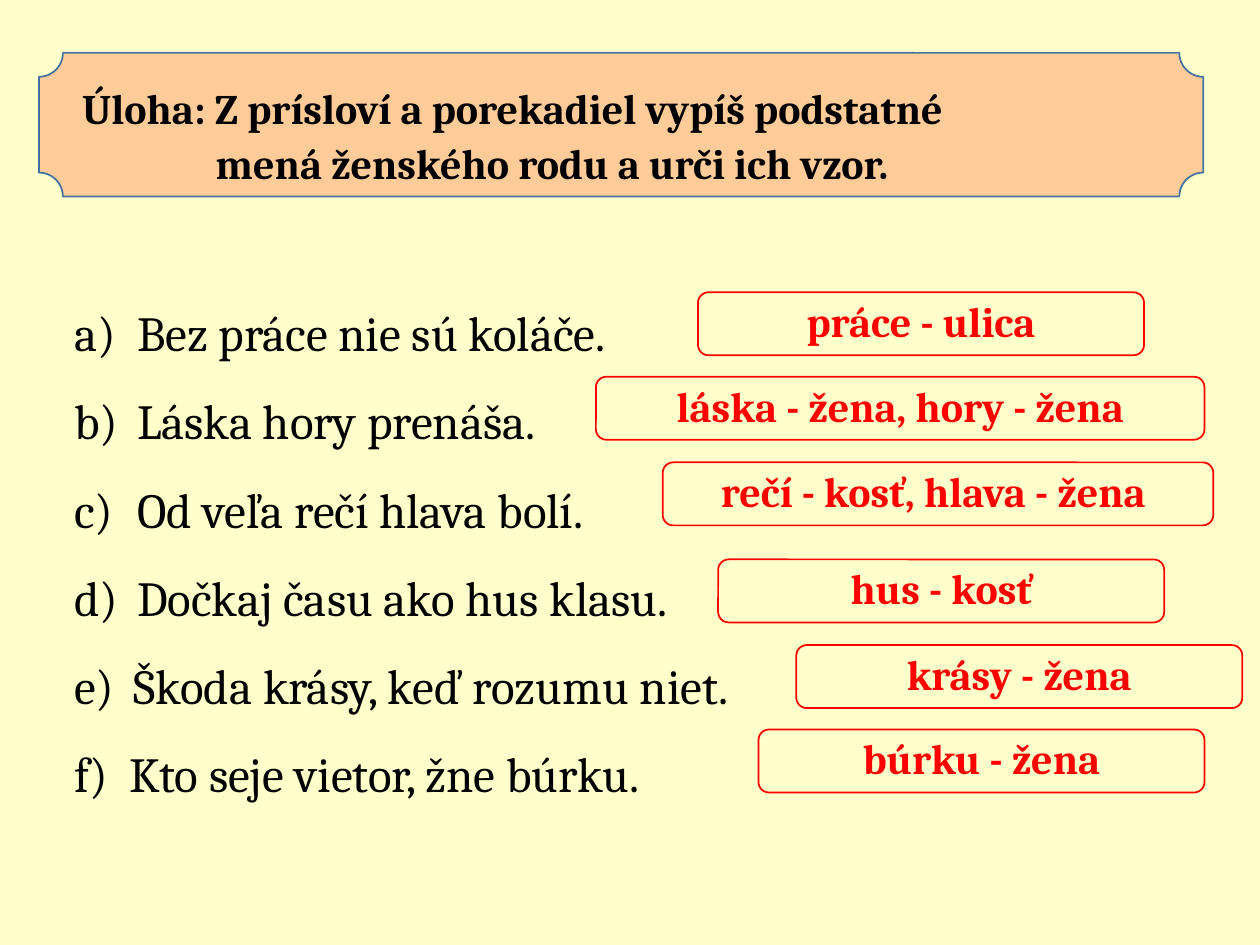
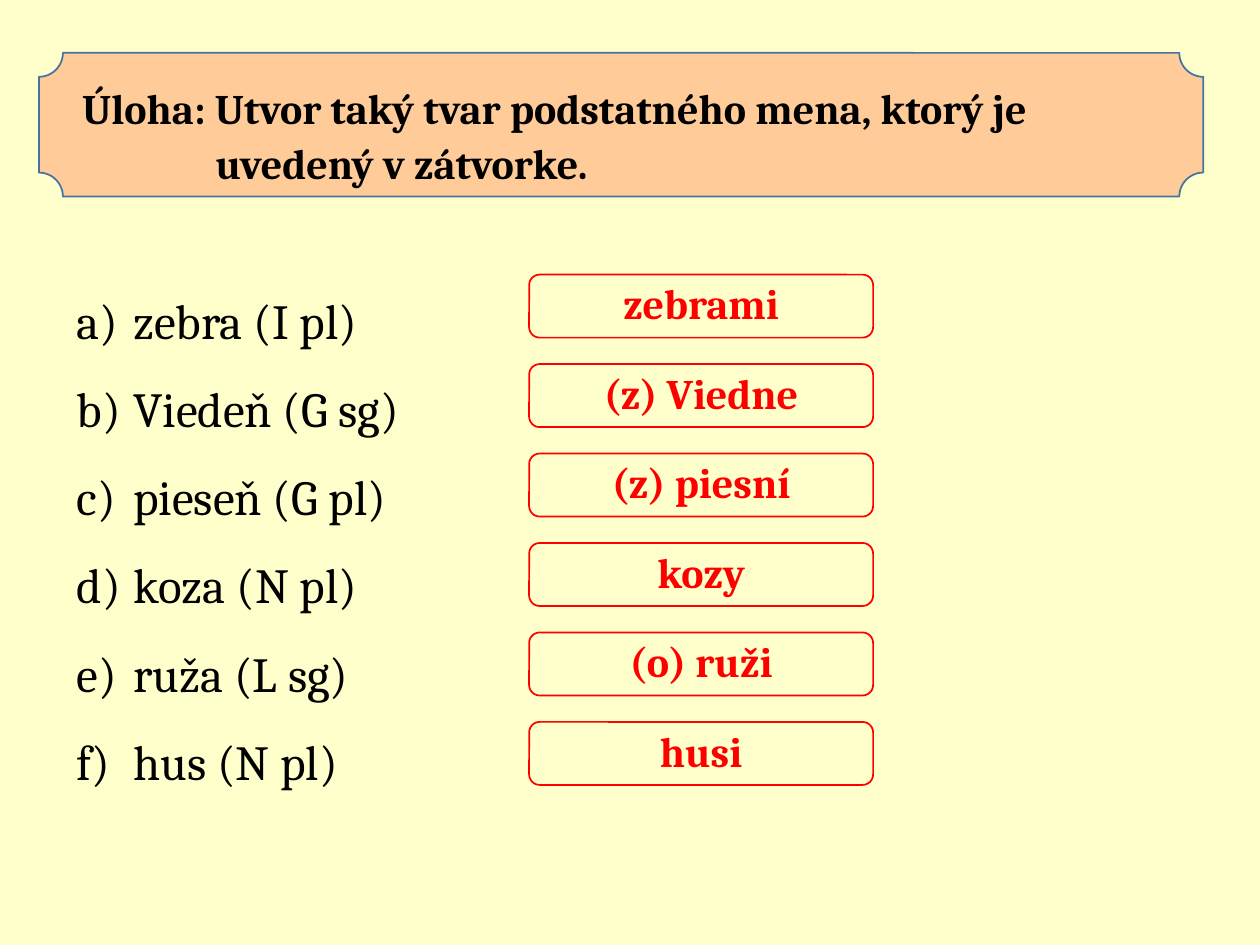
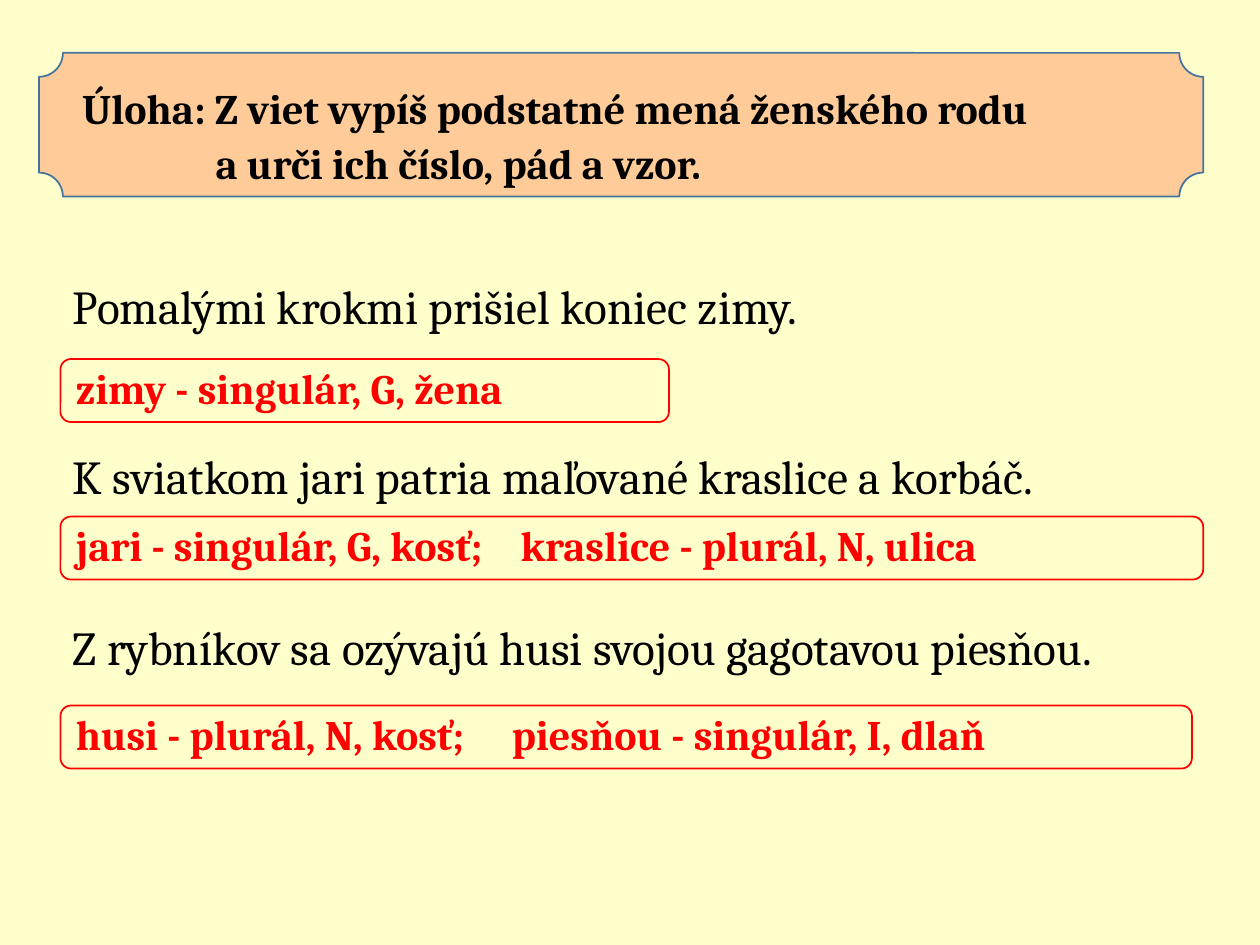
import pptx
import pptx.dml.color
import pptx.enum.shapes
import pptx.enum.text
import pptx.oxml.ns
import pptx.util
from lxml import etree

Inches, Pt = pptx.util.Inches, pptx.util.Pt
SHAPES = pptx.enum.shapes.MSO_SHAPE
ALIGN = pptx.enum.text.PP_ALIGN
ANCHOR = pptx.enum.text.MSO_ANCHOR

# Shared style
FONT = "Cambria"
PAPER, BANNER, BANNER_EDGE = "FFFFCC", "FFCC99", "43739E"
INK, ANSWER = "000000", "FF0000"
ANSWER_HEIGHT = 0.5

# Proverbs: text, indent
PROVERBS_TASK = ("Úloha: Z prísloví a porekadiel vypíš podstatné",
                 "mená ženského rodu a urči ich vzor.")
PROVERBS = [
    ("Bez práce nie sú koláče.", 0.5),
    ("Láska hory prenáša.", 0.5),
    ("Od veľa rečí hlava bolí.", 0.5),
    ("Dočkaj času ako hus klasu.", 0.5),
    ("Škoda krásy, keď rozumu niet.", 0.47),
    ("Kto seje vietor, žne búrku.", 0.44),
]
# Answers: text, left, top, width
PATTERNS = [
    ("práce - ulica", 5.54, 2.32, 3.54),
    ("láska - žena, hory - žena", 4.73, 2.99, 4.83),
    ("rečí - kosť, hlava - žena ", 5.26, 3.67, 4.37),
    ("hus - kosť", 5.7, 4.44, 3.54),
    ("krásy - žena", 6.32, 5.12, 3.54),
    ("búrku - žena", 6.02, 5.79, 3.54),
]

# Word forms: noun, its form
FORMS_TASK = ("Úloha: Utvor taký tvar podstatného mena, ktorý je",
              "uvedený v zátvorke.")
FORMS = [
    ("zebra (I pl)", "zebrami"),
    ("Viedeň (G sg)", "(z) Viedne"),
    ("pieseň (G pl)", "(z) piesní"),
    ("koza (N pl)", "kozy"),
    ("ruža (L sg)", "(o) ruži"),
    ("hus (N pl)", "husi"),
]
FORMS_INDENT, FORMS_TOP, FORMS_STEP = 0.45, 2.18, 0.71

# Sentences, and their answers: text, top, width, tab stop
SENTENCES_TASK = ("Úloha: Z viet vypíš podstatné mená ženského rodu",
                  "a urči ich číslo, pád a vzor.")
SENTENCES = [
    "Pomalými krokmi prišiel koniec zimy.",
    "K\u00a0sviatkom jari patria maľované kraslice a korbáč.".replace("\u00a0", " "),
    "Z rybníkov sa ozývajú husi svojou gagotavou piesňou.",
]
ANALYSES = [
    ("zimy - singulár, G, žena", 2.85, 4.83, None),
    ("jari - singulár, G, kosť;\tkraslice - plurál, N, ulica", 4.1, 9.07, 3.53),
    ("husi - plurál, N, kosť;\tpiesňou - singulár, I, dlaň", 5.6, 8.98, 3.46),
]


def color(value):
    return pptx.dml.color.RGBColor.from_string(value)


def set_font(font, size, ink, bold=False):
    font.name, font.size, font.bold = FONT, Pt(size), bold
    font.color.rgb = color(ink)


def add_property(paragraph, tag, **attributes):
    properties = paragraph._p.get_or_add_pPr()
    return etree.SubElement(properties, pptx.oxml.ns.qn(tag), attributes)


def set_indent(paragraph, left, first):
    properties = paragraph._p.get_or_add_pPr()
    properties.set("marL", str(Inches(left)))
    properties.set("indent", str(Inches(first)))


def add_panel(slide, preset, box, edge, fill=None):
    panel = slide.shapes.add_shape(preset, *map(Inches, box))
    panel.shadow.inherit = False
    if fill:
        panel.fill.solid()
        panel.fill.fore_color.rgb = color(fill)
    else:
        panel.fill.background()
    panel.line.color.rgb = color(edge)
    panel.line.width = Pt(1)
    return panel.text_frame


def add_task(slide, task):
    frame = add_panel(slide, SHAPES.PLAQUE, (0.31, 0.42, 9.24, 1.14), BANNER_EDGE, BANNER)
    frame.vertical_anchor = ANCHOR.MIDDLE
    opening, ending = frame.paragraphs[0], frame.add_paragraph()
    # A large leading space gives the first line its height
    for text, size in ((" ", 36), (task[0], 24)):
        run = opening.add_run()
        run.text = text
        set_font(run.font, size, INK, True)
    ending.text = task[1]
    set_indent(ending, 1.17, 0)
    set_font(ending.font, 24, INK, True)
    opening.alignment = ending.alignment = ALIGN.LEFT


def add_answer(slide, text, left, top, width, align=ALIGN.CENTER, tab=None):
    box = (left, top, width, ANSWER_HEIGHT)
    frame = add_panel(slide, SHAPES.ROUNDED_RECTANGLE, box, ANSWER)
    frame.vertical_anchor = ANCHOR.BOTTOM
    answer = frame.paragraphs[0]
    answer.text = text
    answer.alignment = align
    if tab:
        stops = add_property(answer, "a:tabLst")
        etree.SubElement(stops, pptx.oxml.ns.qn("a:tab"), pos=str(Inches(tab)), algn="l")
    set_font(answer.font, 24, ANSWER, True)


def add_text(slide, box, lines):
    """Add a wrapped text box; yield each paragraph for its own formatting."""
    frame = slide.shapes.add_textbox(*map(Inches, box)).text_frame
    frame.word_wrap = True
    for number, line in enumerate(lines):
        paragraph = frame.add_paragraph() if number else frame.paragraphs[0]
        paragraph.text = line
        yield paragraph


def add_lettered(slide, box, items):
    paragraphs = add_text(slide, box, [text for text, _ in items])
    for paragraph, (_, indent) in zip(paragraphs, items):
        paragraph.line_spacing = 1.5
        set_indent(paragraph, indent, -indent)
        add_property(paragraph, "a:buFont", typeface="+mj-lt")
        add_property(paragraph, "a:buAutoNum", type="alphaLcParenR")
        set_font(paragraph.font, 28, INK)


def add_sentences(slide, box):
    for number, paragraph in enumerate(add_text(slide, box, SENTENCES)):
        if number:
            paragraph.space_before = Pt(65)
        set_font(paragraph.font, 27, INK)
    slide.shapes[-1].text_frame.margin_top = Inches(0.32)


def add_slide(deck):
    slide = deck.slides.add_slide(deck.slide_layouts[6])
    slide.background.fill.solid()
    slide.background.fill.fore_color.rgb = color(PAPER)
    return slide


def main():
    deck = pptx.Presentation()
    deck.slide_width, deck.slide_height = Inches(10), Inches(7.5)

    # Proverbs
    slide = add_slide(deck)
    add_lettered(slide, (0.49, 2.12, 6.96, 4.77), PROVERBS)
    add_task(slide, PROVERBS_TASK)
    for pattern in PATTERNS:
        add_answer(slide, *pattern)

    # Word forms
    slide = add_slide(deck)
    add_lettered(slide, (0.51, 2.02, 3.58, 4.34),
                 [(noun, FORMS_INDENT) for noun, _ in FORMS])
    add_task(slide, FORMS_TASK)
    for row, (_, form) in enumerate(FORMS):
        add_answer(slide, form, 4.2, FORMS_TOP + row * FORMS_STEP, 2.73)

    # Sentences
    slide = add_slide(deck)
    add_sentences(slide, (0.48, 1.88, 9.07, 3.97))
    add_task(slide, SENTENCES_TASK)
    for text, top, width, tab in ANALYSES:
        add_answer(slide, text, 0.48, top, width, ALIGN.LEFT, tab)

    deck.save("out.pptx")


if __name__ == "__main__":
    main()
